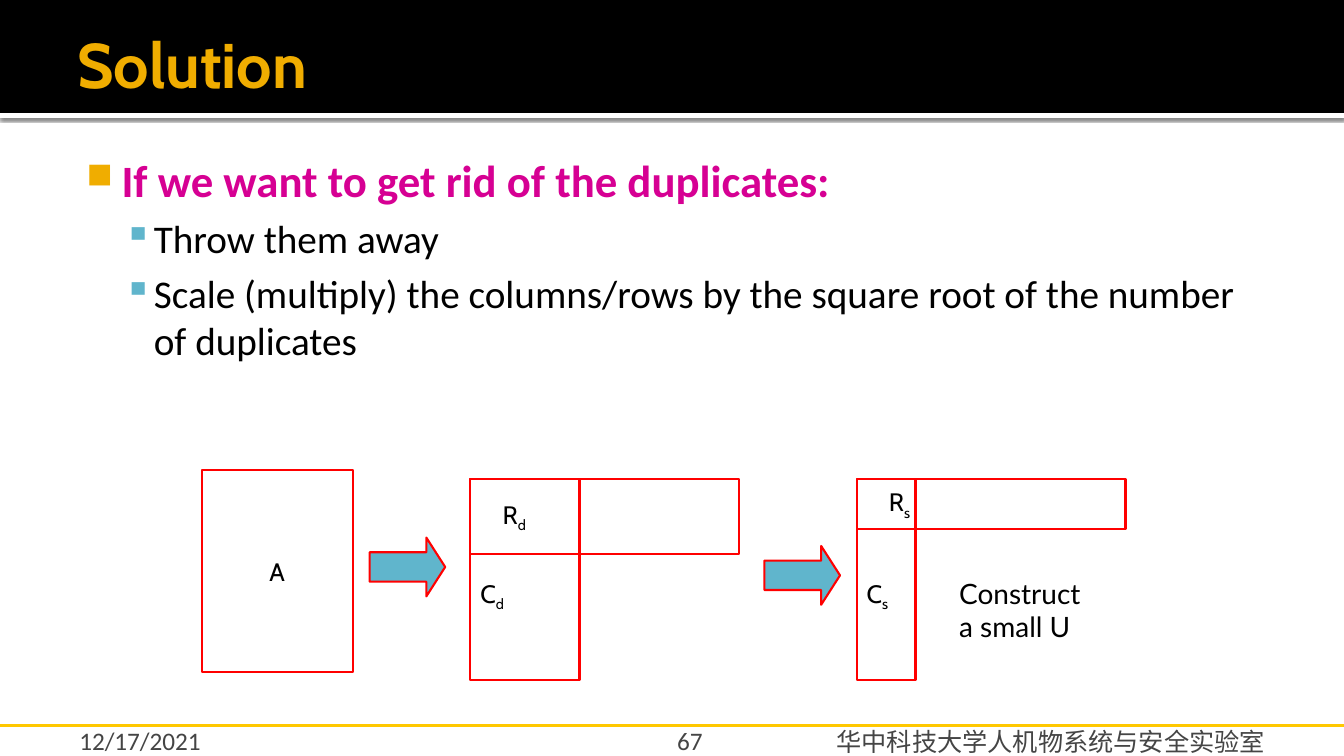
import pptx
import pptx.util
import pptx.dml.color
import pptx.enum.shapes
import pptx.enum.text
import pptx.oxml
import pptx.oxml.ns
import lxml.etree

Pt = pptx.util.Pt
RGBColor = pptx.dml.color.RGBColor
MSO_SHAPE = pptx.enum.shapes.MSO_SHAPE
MSO_ANCHOR = pptx.enum.text.MSO_ANCHOR
PP_ALIGN = pptx.enum.text.PP_ALIGN
qn = pptx.oxml.ns.qn

WHITE = RGBColor(0xFF, 0xFF, 0xFF)
BLACK = RGBColor(0x00, 0x00, 0x00)
GOLD = RGBColor(0xF0, 0xAD, 0x00)
YELLOW = RGBColor(0xFF, 0xC8, 0x00)
MAGENTA = RGBColor(0xD6, 0x00, 0x93)
BLUE = RGBColor(0x60, 0xB5, 0xCC)
RED = RGBColor(0xFF, 0x00, 0x00)
GRAY = RGBColor(0x45, 0x45, 0x45)

presentation = pptx.Presentation()
presentation.slide_width = Pt(960)
presentation.slide_height = Pt(540)
slide = presentation.slides.add_slide(presentation.slide_layouts[6])
slide.background.fill.solid()
slide.background.fill.fore_color.rgb = WHITE


def add_shape(kind, left, top, width, height, fill=None, line=None):
    shape = slide.shapes.add_shape(kind, Pt(left), Pt(top), Pt(width), Pt(height))
    shape.shadow.inherit = False
    if fill is None:
        shape.fill.background()
    else:
        shape.fill.solid()
        shape.fill.fore_color.rgb = fill
    if line is None:
        shape.line.fill.background()
    else:
        shape.line.color.rgb = line
        shape.line.width = Pt(1.5)
    return shape


def write(shape, text, font, size, color, anchor=MSO_ANCHOR.MIDDLE,
          align=PP_ALIGN.LEFT, margins=(7.2, 3.6, 7.2, 3.6), subscript=""):
    frame = shape.text_frame
    frame.text = text
    frame.word_wrap = True
    frame.vertical_anchor = anchor
    frame.margin_left, frame.margin_top, frame.margin_right, frame.margin_bottom = map(Pt, margins)
    paragraph = frame.paragraphs[0]
    paragraph.alignment = align
    if subscript:
        run = paragraph.add_run()
        run.text = subscript
        run.font._element.set("baseline", "-25000")
    for run in paragraph.runs:
        run.font.name = font
        run.font.size = Pt(size)
        run.font.color.rgb = color


# Header band with a shadowed white strip below it
strip = add_shape(MSO_SHAPE.RECTANGLE, 0, 80.64, 960, 3.6, WHITE)
effects = strip._element.spPr.find(qn("a:effectLst"))
shadow = lxml.etree.SubElement(effects, qn("a:outerShdw"), blurRad=str(Pt(2.5)),
                               dist=str(Pt(0.8)), dir="5400000")
shadow_color = lxml.etree.SubElement(shadow, qn("a:srgbClr"), val=str(BLACK))
lxml.etree.SubElement(shadow_color, qn("a:alpha"), val="60000")
add_shape(MSO_SHAPE.RECTANGLE, 0, 0, 960, 80.64, BLACK)

title = slide.shapes.add_textbox(Pt(48), Pt(6), Pt(864), Pt(78))
write(title, "Solution", "Cabin", 45, GOLD, margins=(7.2, 3.6, 3.6, 3.6))
title.text_frame.paragraphs[0].runs[0].font.bold = True

# Bulleted text: text, level, left margin, hanging indent, size, colour, bullet
bullets = [
    ("If we want to get rid of the duplicates:", 0, 34.56, 25.2, 32, MAGENTA, "■", GOLD, 80),
    ("Throw them away", 1, 57.6, 21.6, 28, BLACK, "▪", BLUE, 100),
    ("Scale (multiply) the columns/rows by the square root of the number of duplicates",
     1, 57.6, 21.6, 28, BLACK, "▪", BLUE, 100),
]
body = slide.shapes.add_textbox(Pt(48), Pt(102), Pt(864), Pt(414))
frame = body.text_frame
frame.word_wrap = True
frame.margin_left, frame.margin_top = Pt(4.32), Pt(7.2)
for index, (text, level, margin, hang, size, color, mark, mark_color, mark_size) in enumerate(bullets):
    paragraph = frame.add_paragraph() if index else frame.paragraphs[0]
    paragraph.text = text
    paragraph.level = level
    if index:
        paragraph.space_before = Pt(5.6)
    properties = paragraph._p.get_or_add_pPr()
    properties.set("marL", str(Pt(margin)))
    properties.set("indent", str(-Pt(hang)))
    bullet_color = lxml.etree.SubElement(properties, qn("a:buClr"))
    lxml.etree.SubElement(bullet_color, qn("a:srgbClr"), val=str(mark_color))
    lxml.etree.SubElement(properties, qn("a:buSzPct"), val=str(mark_size * 1000))
    lxml.etree.SubElement(properties, qn("a:buChar"), char=mark)
    font = paragraph.runs[0].font
    font.name = "Calibri"
    font.size = Pt(size)
    font.bold = level == 0
    font.color.rgb = color

# Matrix A
matrix = add_shape(MSO_SHAPE.RECTANGLE, 144, 336, 108, 144, WHITE, RED)
write(matrix, "A", "Cabin", 18, BLACK, align=PP_ALIGN.CENTER)

# Arrow, column block C and row block R of each step
steps = [
    (264, 384, 336, 78, 54, "d"),
    (546, 390, 612, 42, 36, "s"),
]
for arrow_left, arrow_top, left, column_width, row_height, subscript in steps:
    arrow = add_shape(MSO_SHAPE.RIGHT_ARROW, arrow_left, arrow_top, 54, 42, BLUE, RED)
    arrow.adjustments[0] = 0.5
    arrow.adjustments[1] = 0.32
    columns = add_shape(MSO_SHAPE.RECTANGLE, left, 342, column_width, 144, WHITE, RED)
    write(columns, "C", "Cabin", 18, BLACK, margins=(7.2, 25.6, 3.6, 3.6), subscript=subscript)
    rows = add_shape(MSO_SHAPE.RECTANGLE, left, 342, 192, row_height, None, RED)
    write(rows, "R", "Cabin", 18, BLACK, margins=(23, 3.6, 7.2, 3.6), subscript=subscript)

note = slide.shapes.add_textbox(Pt(678), Pt(408), Pt(114), Pt(55.44))
write(note, "Construct a small U", "Lato", 20, BLACK, MSO_ANCHOR.TOP)

# Footer
rule = slide.shapes.add_connector(pptx.enum.shapes.MSO_CONNECTOR.STRAIGHT,
                                  Pt(0), Pt(518.4), Pt(960), Pt(518.4))
rule.line.color.rgb = YELLOW
rule.line.width = Pt(2.25)
lxml.etree.SubElement(rule._element.spPr, qn("a:effectLst"))

footers = [
    ("12/17/2021", 48, 518.4, 224, 21.6, MSO_ANCHOR.BOTTOM, PP_ALIGN.LEFT, (8.64, 3.6, 3.6, 0)),
    ("67", 432, 518.4, 77, 21.6, MSO_ANCHOR.BOTTOM, PP_ALIGN.RIGHT, (7.2, 3.6, 7.2, 0)),
    ("华中科技大学人机物系统与安全实验室", 590.4, 515.5, 323.3, 28.8,
     MSO_ANCHOR.TOP, PP_ALIGN.LEFT, (7.2, 3.6, 7.2, 3.6)),
]
for text, left, top, width, height, anchor, align, margins in footers:
    footer = slide.shapes.add_textbox(Pt(left), Pt(top), Pt(width), Pt(height))
    write(footer, text, "Calibri", 18, GRAY, anchor, align, margins)
    footer.text_frame.word_wrap = align == PP_ALIGN.RIGHT

presentation.save("out.pptx")
